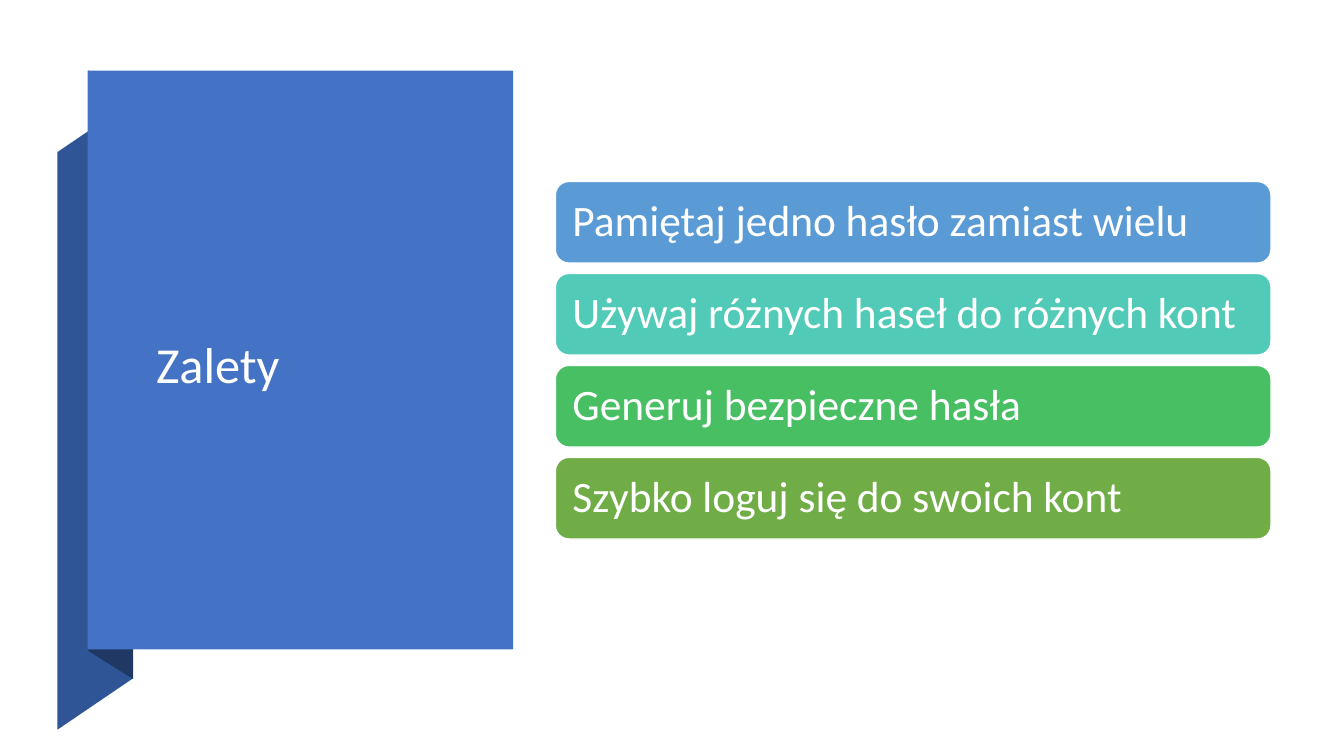
"""Draw the advantages slide: a folded blue panel beside four coloured bands."""
from dataclasses import dataclass

from pptx import Presentation
from pptx import util as u
from pptx.dml.color import RGBColor
from pptx.enum import shapes, text
from pptx.shapes.autoshape import Shape
from pptx.shapes.shapetree import SlideShapes


@dataclass(frozen=True)
class Theme:
    font: str = "Calibri"
    white: str = "FFFFFF"
    panel: str = "4472C4"
    side: str = "2F5597"
    fold: str = "203864"
    title: float = 36
    body: float = 31


@dataclass(frozen=True)
class Box:
    left: float
    top: float
    width: float
    height: float

    def emu(self) -> list[int]:
        return [u.Pt(v) for v in (self.left, self.top, self.width, self.height)]


@dataclass(frozen=True)
class Flap:
    fill: str
    points: tuple[tuple[float, float], ...]


@dataclass(frozen=True)
class Band:
    label: str
    fill: str


THEME = Theme()
PANEL = Box(62.64, 50.4, 303.84, 413.5)
TITLE = Box(104.4, 120.24, 216.72, 283.68)
FIRST = Box(396.7, 129.6, 511.2, 58.3)
PITCH = 65.7
FLAPS = (
    Flap(THEME.side, ((41, 521.3), (95, 484.6), (95, 72), (41, 108.7))),
    Flap(THEME.fold, ((63, 465), (95, 485), (95, 71.3), (63, 50.4))),
)
BANDS = (
    Band("Pamiętaj jedno hasło zamiast wielu", "5B9BD5"),
    Band("Używaj różnych haseł do różnych kont", "52CAB8"),
    Band("Generuj bezpieczne hasła", "49BF64"),
    Band("Szybko loguj się do swoich kont", "70AD47"),
)


def apply(target: object, values: dict[str, object]) -> None:
    for name, value in values.items():
        setattr(target, name, value)


def paint(shape: Shape, fill: str) -> None:
    shape.shadow.inherit = False
    shape.fill.solid()
    shape.fill.fore_color.rgb = RGBColor.from_string(fill)
    shape.line.fill.background()


def write(shape: Shape, label: str, size: float, inset: float) -> None:
    frame = shape.text_frame
    line = frame.paragraphs[0]
    line.text = label
    side = u.Pt(inset)
    apply(frame, {"word_wrap": True, "vertical_anchor": text.MSO_ANCHOR.MIDDLE,
                  "margin_left": side, "margin_right": side})
    apply(line, {"alignment": text.PP_ALIGN.LEFT, "line_spacing": 0.9})
    apply(line.font, {"name": THEME.font, "size": u.Pt(size)})
    line.font.color.rgb = RGBColor.from_string(THEME.white)


def draw_flap(tree: SlideShapes, flap: Flap) -> None:
    first, *rest = [(u.Pt(x), u.Pt(y)) for x, y in flap.points]
    form = tree.build_freeform(*first)
    form.add_line_segments(rest)
    paint(form.convert_to_shape(), flap.fill)


def draw_band(tree: SlideShapes, band: Band, row: int) -> None:
    box = Box(FIRST.left, FIRST.top + row * PITCH, FIRST.width, FIRST.height)
    shape = tree.add_shape(shapes.MSO_SHAPE.ROUNDED_RECTANGLE, *box.emu())
    paint(shape, band.fill)
    shape.line.color.rgb = RGBColor.from_string(THEME.white)
    shape.line.width = u.Pt(1)
    write(shape, band.label, THEME.body, 9.4)


def main() -> None:
    deck = Presentation()
    apply(deck, {"slide_width": u.Pt(960), "slide_height": u.Pt(540)})
    tree = deck.slides.add_slide(deck.slide_layouts[6]).shapes
    for flap in FLAPS:
        draw_flap(tree, flap)
    paint(tree.add_shape(shapes.MSO_SHAPE.RECTANGLE, *PANEL.emu()), THEME.panel)
    write(tree.add_textbox(*TITLE.emu()), "Zalety", THEME.title, 7.2)
    for row, band in enumerate(BANDS):
        draw_band(tree, band, row)
    deck.save("out.pptx")


if __name__ == "__main__":
    main()
